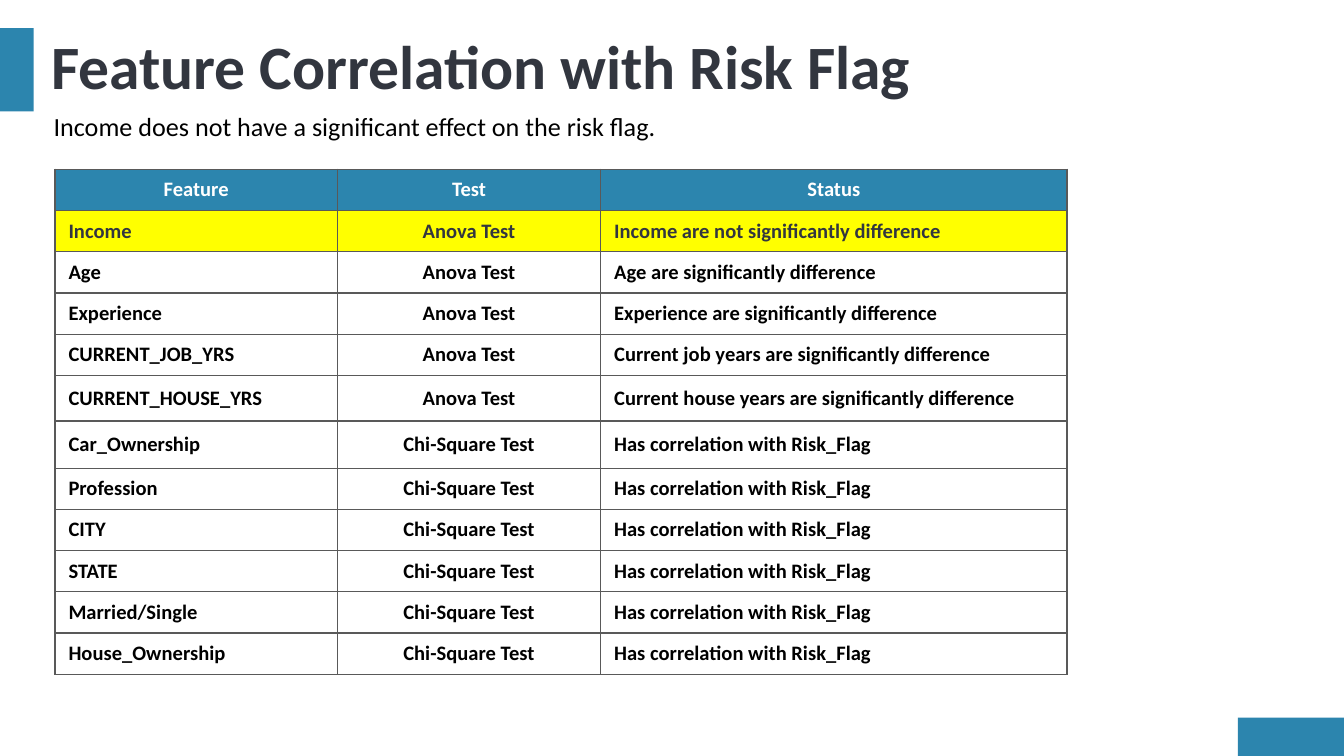
from lxml import etree
from pptx import Presentation
from pptx.dml.color import RGBColor
from pptx.enum.shapes import MSO_SHAPE
from pptx.enum.text import MSO_ANCHOR, PP_ALIGN
from pptx.oxml.ns import qn
from pptx.util import Inches, Pt

RECT = MSO_SHAPE.RECTANGLE
MIDDLE = MSO_ANCHOR.MIDDLE
LEFT, CENTER = PP_ALIGN.LEFT, PP_ALIGN.CENTER

THEME = {
    "font": "Calibri",
    "blue": "2C85AE", "dark": "32363F", "black": "000000",
    "white": "FFFFFF", "yellow": "FFFF00", "border": "595959",
    "title": 33, "lead": 14, "cell": 11, "rule": 0.75,
}

TITLE = "Feature Correlation with Risk Flag"
LEAD = "Income does not have a significant effect on the risk flag."
HEAD = ("Feature", "Test", "Status")
ANOVA = [
    ("Income", "Income are not significantly difference"),
    ("Age", "Age are significantly difference"),
    ("Experience", "Experience are significantly difference"),
    ("CURRENT_JOB_YRS", "Current job years are significantly difference"),
    ("CURRENT_HOUSE_YRS", "Current house years are significantly difference"),
]
CHI = ["Car_Ownership", "Profession", "CITY", "STATE", "Married/Single", "House_Ownership"]
ROWS = [HEAD]
ROWS += [(name, "Anova Test", status) for name, status in ANOVA]
ROWS += [(name, "Chi-Square Test", "Has correlation with Risk_Flag") for name in CHI]

WIDE = 10
HIGH = WIDE * 9 / 16
BARS = [(9.21, 5.34, 0.79, HIGH - 5.34), (0, 0.21, 0.25, 0.62)]
WIDTHS = (2.1, 1.96, 3.47)
TALL = {5: 0.34, 6: 0.35}
HEIGHT = 3.76


def color(key):
    return RGBColor.from_string(THEME[key])


def write(frame, text, size, ink, bold=False, align=LEFT):
    frame.text = text
    par = frame.paragraphs[0]
    par.alignment = align
    font = par.font
    font.name, font.size, font.bold = THEME["font"], Pt(THEME[size]), bold
    font.color.rgb = color(ink)
    return par


def inset(item, side, top):
    item.margin_left = item.margin_right = Inches(side)
    item.margin_top = item.margin_bottom = Inches(top)
    item.vertical_anchor = MIDDLE


def block(slide, box, fill):
    shape = slide.shapes.add_shape(RECT, *map(Inches, box))
    shape.shadow.inherit = False
    shape.fill.solid()
    shape.fill.fore_color.rgb = color(fill)
    shape.line.fill.background()
    return shape


def border(cell):
    props = cell._tc.get_or_add_tcPr()
    for spot, side in enumerate(("lnL", "lnR", "lnT", "lnB")):
        line = etree.Element(qn(f"a:{side}"), w=str(Pt(THEME["rule"])))
        fill = etree.SubElement(line, qn("a:solidFill"))
        etree.SubElement(fill, qn("a:srgbClr"), val=THEME["border"])
        props.insert(spot, line)


def style(row):
    if row == 0:
        return "blue", "white"
    if row == 1:
        return "yellow", "dark"
    return None, "black"


def grid(slide):
    frame = slide.shapes.add_table(
        len(ROWS), len(HEAD), Inches(0.41), Inches(1.26), Inches(sum(WIDTHS)), Inches(HEIGHT))
    table = frame.table
    for col, width in zip(table.columns, WIDTHS):
        col.width = Inches(width)
    base = (HEIGHT - sum(TALL.values())) / (len(ROWS) - len(TALL))
    for r, row in enumerate(ROWS):
        table.rows[r].height = Inches(TALL.get(r, base))
        fill, ink = style(r)
        for c, text in enumerate(row):
            cell = table.cell(r, c)
            inset(cell, 0.1, 0)
            align = CENTER if r == 0 or c == 1 else LEFT
            write(cell.text_frame, text, "cell", ink, True, align)
            if fill:
                cell.fill.solid()
                cell.fill.fore_color.rgb = color(fill)
            else:
                cell.fill.background()
            border(cell)


def main():
    deck = Presentation()
    deck.slide_width, deck.slide_height = Inches(WIDE), Inches(HIGH)
    slide = deck.slides.add_slide(deck.slide_layouts[6])
    for box in BARS:
        block(slide, box, "blue")

    title = slide.shapes.add_textbox(*map(Inches, (0.31, 0.21, 9.45, 0.62))).text_frame
    title.word_wrap = True
    inset(title, 0.07, 0.04)
    write(title, TITLE, "title", "dark", True).line_spacing = 0.9

    grid(slide)

    lead = block(slide, (0.3, 0.77, 7.79, 0.34), "white").text_frame
    lead.word_wrap = True
    inset(lead, 0.1, 0.1)
    write(lead, LEAD, "lead", "black")
    deck.save("out.pptx")


if __name__ == "__main__":
    main()
